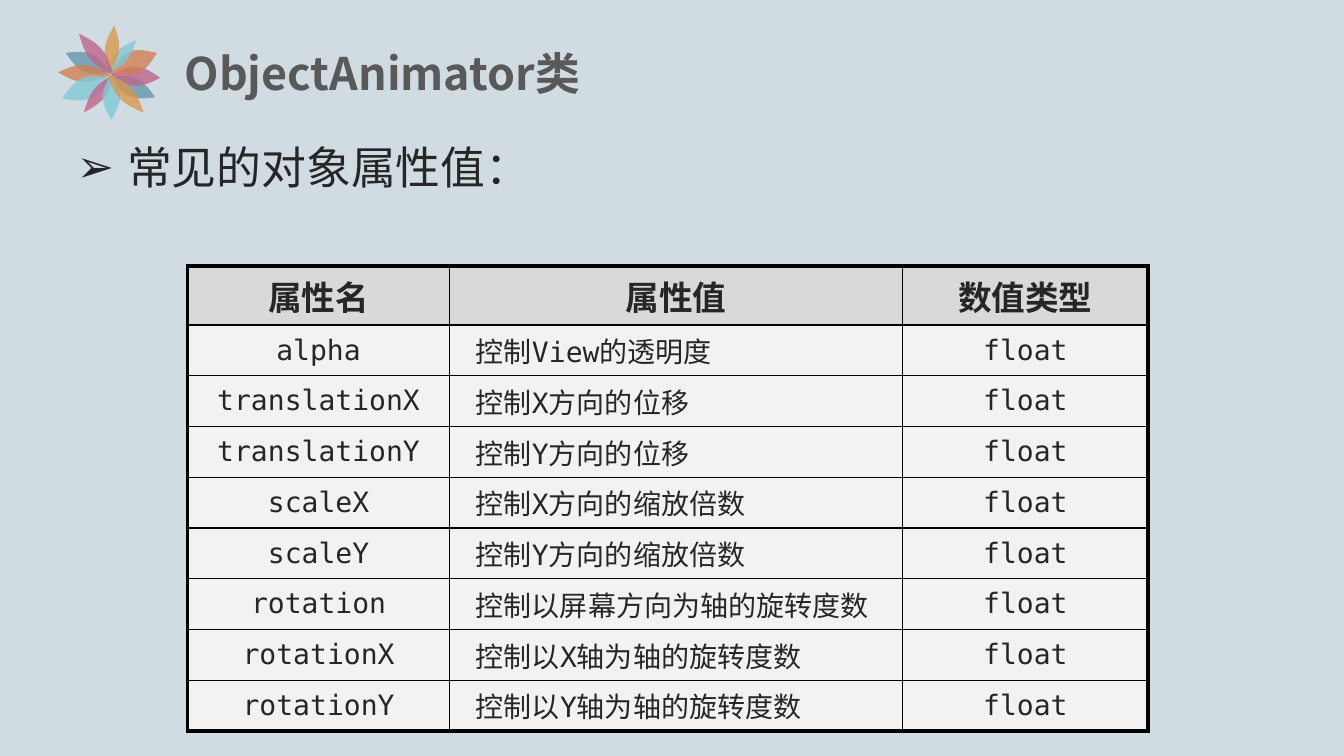
from lxml import etree
from pptx import Presentation
from pptx.dml.color import RGBColor
from pptx.enum.text import MSO_ANCHOR, MSO_AUTO_SIZE, PP_ALIGN
from pptx.oxml import parse_xml
from pptx.oxml.ns import nsdecls, qn
from pptx.util import Inches, Pt

COLORS = {
    "background": "D1DCE2", "title": "595959", "text": "262626",
    "header": "D9D9D9", "cell": "F2F2F2", "border": "000000",
    "blue": "6694AB", "orange": "D27E50", "pink": "BF638A",
    "cyan": "80CAD7", "gold": "DB9649",
}
SANS, MONO = "Noto Sans CJK SC", "DejaVu Sans Mono"

# Petals: colour, left, top, width, height within the flower, rotation
PETALS = [
    ("blue", 0.2, 0.13, 0.19, 0.49, 294.2),
    ("blue", 0.64, 0.37, 0.19, 0.49, 294.2),
    ("orange", 0.17, 0.22, 0.17, 0.52, 92.8),
    ("pink", 0.67, 0.26, 0.19, 0.49, 274),
    ("cyan", 0.17, 0.36, 0.22, 0.53, 247.6),
    ("orange", 0.63, 0.12, 0.23, 0.5, 67.9),
    ("pink", 0.34, 0.43, 0.13, 0.49, 218.8),
    ("cyan", 0.56, 0.09, 0.13, 0.44, 221.9),
    ("gold", 0.46, 0, 0.14, 0.48, 5.9),
    ("cyan", 0.44, 0.48, 0.17, 0.46, 0),
    ("pink", 0.3, 0.02, 0.15, 0.54, 320.5),
    ("gold", 0.59, 0.41, 0.15, 0.53, 136.9),
]
# Petal outline in fractions of its box: two handles and an end per curve
PETAL_START = (0.5, 0)
PETAL_CURVES = [
    ((0.76, 0.17), (1, 0.33), (1, 0.5)),
    ((1, 0.67), (0.76, 0.83), (0.5, 1)),
    ((0.24, 0.83), (0, 0.67), (0, 0.5)),
    ((0, 0.33), (0.24, 0.17), PETAL_START),
]

HEADER = ("属性名", "属性值", "数值类型")
PROPERTIES = [
    ("alpha", "控制View的透明度"),
    ("translationX", "控制X方向的位移"),
    ("translationY", "控制Y方向的位移"),
    ("scaleX", "控制X方向的缩放倍数"),
    ("scaleY", "控制Y方向的缩放倍数"),
    ("rotation", "控制以屏幕方向为轴的旋转度数"),
    ("rotationX", "控制以X轴为轴的旋转度数"),
    ("rotationY", "控制以Y轴为轴的旋转度数"),
]


def rgb(name):
    return RGBColor.from_string(COLORS[name])


def add_run(p, text, size, font=SANS, color="text", bold=False):
    r = p.add_run()
    r.text = text
    r.font.size, r.font.bold, r.font.name = Pt(size), bold, font
    r.font.color.rgb = rgb(color)
    ea = etree.SubElement(r.font._element, qn("a:ea"))
    ea.set("typeface", SANS)


def place(sp, left, top, width, height):
    sp.left, sp.top = Inches(left), Inches(top)
    sp.width, sp.height = Inches(width), Inches(height)


def add_petal(group, color, left, top, width, height, rotation):
    def at(point):
        return Inches(left + point[0] * width), Inches(top + point[1] * height)

    builder = group.shapes.build_freeform(*at(PETAL_START))
    builder.add_line_segments([at(curve[2]) for curve in PETAL_CURVES])
    sp = builder.convert_to_shape()
    # Bend the straight sides
    outline = sp._element.spPr.find(".//" + qn("a:path"))
    w, h = int(outline.get("w")), int(outline.get("h"))
    for side, curve in zip(outline.findall(qn("a:lnTo")), PETAL_CURVES):
        bend = etree.Element(qn("a:cubicBezTo"))
        for x, y in curve:
            pt = etree.SubElement(bend, qn("a:pt"))
            pt.set("x", str(round(x * w)))
            pt.set("y", str(round(y * h)))
        outline.replace(side, bend)
    sp.rotation = rotation
    sp.shadow.inherit = False
    sp.line.fill.background()
    sp.fill.solid()
    sp.fill.fore_color.rgb = rgb(color)
    srgb = sp._element.spPr.find(".//" + qn("a:srgbClr"))
    etree.SubElement(srgb, qn("a:alpha")).set("val", "78000")


def add_flower(s, left, top):
    group = s.shapes.add_group_shape()
    for color, x, y, width, height, rotation in PETALS:
        add_petal(group, color, left + x, top + y, width, height, rotation)
    # The flower belongs to the master
    s.slide_layout.slide_master.shapes.element.append(group._element)


def add_title(s, left, top, width, height):
    sp = s.shapes.title
    place(sp, left, top, width, height)
    tf = sp.text_frame
    tf.auto_size = MSO_AUTO_SIZE.NONE
    tf.vertical_anchor = MSO_ANCHOR.MIDDLE
    p = tf.paragraphs[0]
    p.alignment = PP_ALIGN.LEFT
    add_run(p, "ObjectAnimator类", 32, color="title", bold=True)


def add_body(s, left, top, width, height):
    sp = s.placeholders[1]
    place(sp, left, top, width, height)
    tf = sp.text_frame
    tf.auto_size = MSO_AUTO_SIZE.NONE
    p = tf.paragraphs[0]
    p.line_spacing, p.space_before, p.space_after = 1.2, Pt(12), Pt(6)
    pPr = p._p.get_or_add_pPr()
    pPr.set("marL", str(Inches(0.5)))
    pPr.set("indent", str(-Inches(0.5)))
    etree.SubElement(pPr, qn("a:buChar")).set("char", "➢")
    add_run(p, "常见的对象属性值：", 32)


def set_borders(cell, widths):
    tcPr = cell._tc.get_or_add_tcPr()
    for i, (side, width) in enumerate(zip("LRTB", widths)):
        tcPr.insert(i, parse_xml(
            f'<a:ln{side} {nsdecls("a")} w="{Pt(width)}"><a:solidFill>'
            f'<a:srgbClr val="{COLORS["border"]}"/></a:solidFill></a:ln{side}>'))


def add_property_table(s, left, top):
    rows = [HEADER] + [(name, use, "float") for name, use in PROPERTIES]
    col_widths = (2.6, 4.49, 2.44)
    row_heights = [0.49] + [0.45] * len(PROPERTIES)
    table = s.shapes.add_table(
        len(rows), len(col_widths), Inches(left), Inches(top),
        Inches(sum(col_widths)), Inches(sum(row_heights))).table
    for column, width in zip(table.columns, col_widths):
        column.width = Inches(width)
    last_row, last_col = len(rows) - 1, len(col_widths) - 1
    for i, values in enumerate(rows):
        table.rows[i].height = Inches(row_heights[i])
        for j, text in enumerate(values):
            cell = table.cell(i, j)
            cell.fill.solid()
            cell.fill.fore_color.rgb = rgb("cell" if i else "header")
            # Thick outer frame, thin inner lines
            outer = (j == 0, j == last_col, i == 0, i == last_row)
            set_borders(cell, [3 if edge else 1 for edge in outer])
            p = cell.text_frame.paragraphs[0]
            if i and j == 1:
                p._p.get_or_add_pPr().set("marL", str(Inches(0.16)))
            else:
                p.alignment = PP_ALIGN.CENTER
            if i:
                cell.vertical_anchor = MSO_ANCHOR.MIDDLE
                add_run(p, text, 20, MONO)
            else:
                add_run(p, text, 24, bold=True)


def add_table_slide(prs):
    s = prs.slides.add_slide(prs.slide_layouts[1])
    s.background.fill.solid()
    s.background.fill.fore_color.rgb = rgb("background")
    add_flower(s, 0.58, 0.25)
    add_title(s, 1.73, 0.29, 8.89, 0.87)
    add_body(s, 0.66, 1.23, 12, 5.46)
    add_property_table(s, 1.86, 2.64)


prs = Presentation()
prs.slide_width, prs.slide_height = Inches(13.33), Inches(7.5)
add_table_slide(prs)
prs.save("out.pptx")
